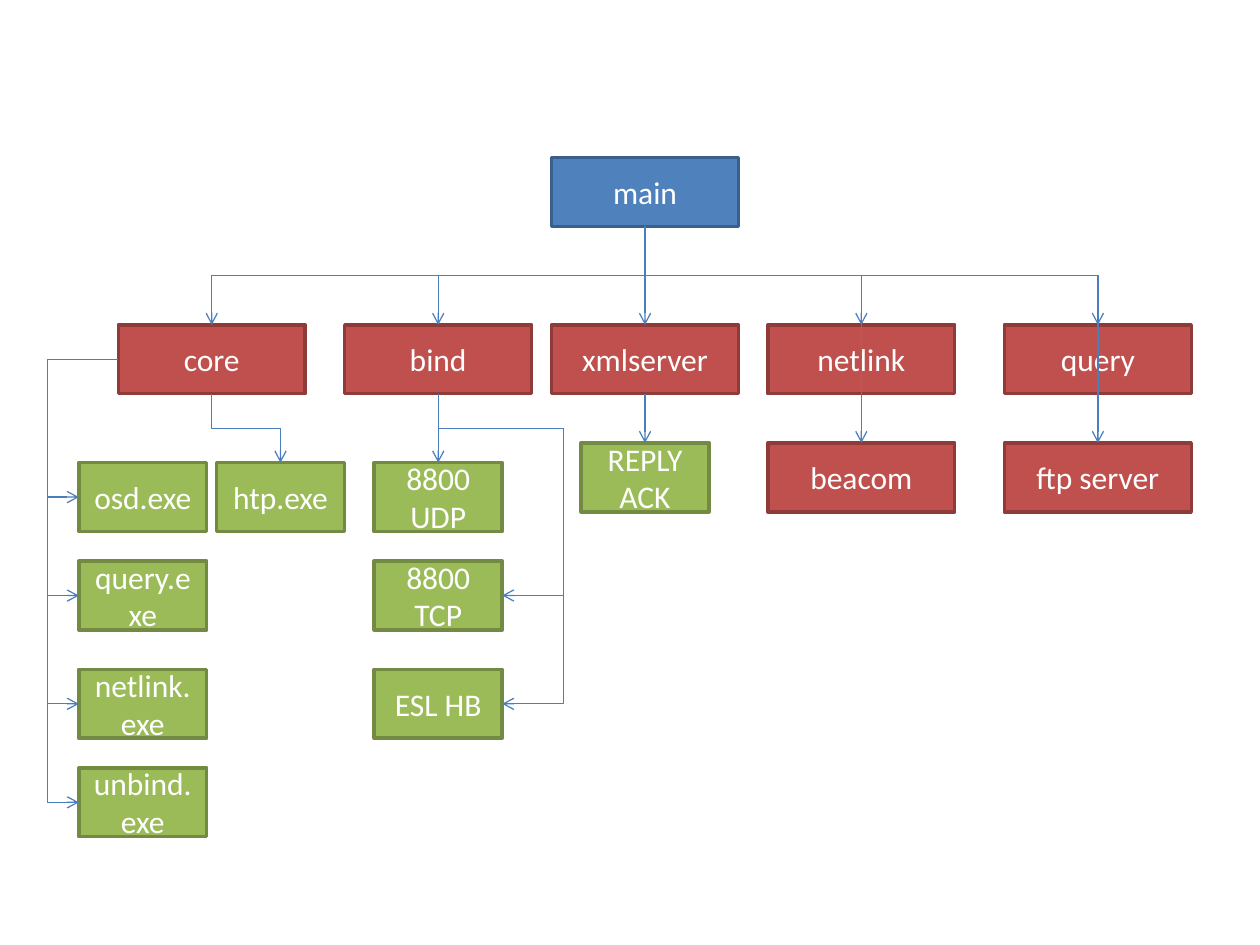
from lxml import etree
from pptx import Presentation
from pptx.dml.color import RGBColor
from pptx.enum import shapes, text
from pptx.oxml.ns import qn
from pptx.util import Pt

# Content: name -> (label, style, centre x, top)
BOXES = {
    "main": ("main", "root", 368.6, 90),
    "core": ("core", "module", 121, 185.65),
    "bind": ("bind", "module", 250.4, 185.65),
    "xmlserver": ("xmlserver", "module", 368.6, 185.65),
    "netlink": ("netlink", "module", 492.2, 185.65),
    "query": ("query", "module", 627.4, 185.65),
    "beacom": ("beacom", "module", 492.2, 253.1),
    "ftp": ("ftp server", "module", 627.4, 253.1),
    "reply": ("REPLY ACK", "task", 368.6, 253.1),
    "osd": ("osd.exe", "task", 81.6, 264.4),
    "htp": ("htp.exe", "task", 160.3, 264.4),
    "query.exe": ("query.exe", "task", 81.6, 320.6),
    "netlink.exe": ("netlink.exe", "task", 81.6, 382.5),
    "unbind": ("unbind.exe", "task", 81.6, 438.75),
    "udp": ("8800 UDP", "task", 250.4, 264.4),
    "tcp": ("8800 TCP", "task", 250.4, 320.6),
    "esl": ("ESL HB", "task", 250.4, 382.5),
}
# Style -> fill, line, width
STYLES = {
    "root": ("4F81BD", "3A5F8C", 106.8),
    "module": ("C0504D", "8E3B39", 106.8),
    "task": ("9BBB59", "738A42", 73.1),
}
BOX_H = 39.4
# Parent, children, start side, end side, distance to first bend
LINKS = [
    ("main", ["core", "bind", "xmlserver", "netlink", "query", "beacom", "ftp"],
     "bottom", "top", 28.1),
    ("core", ["htp"], "bottom", "top", 19.7),
    ("bind", ["udp"], "bottom", "top", 19.7),
    ("bind", ["tcp", "esl"], "bottom", "right", 19.7),
    ("xmlserver", ["reply"], "bottom", "top", 14),
    ("core", ["osd", "query.exe", "netlink.exe", "unbind"], "left", "left", 40.5),
]
SITES = {"top": 0, "left": 1, "bottom": 2, "right": 3}
RIGHT_RAIL = 35  # gap from a box to the rail on its right
LINK_COLOR = "4B7EBC"


def rgb(value):
    return RGBColor.from_string(value)


def anchor(name, side):
    _, style, x, top = BOXES[name]
    half = STYLES[style][2] / 2
    dx, dy = {"top": (0, 0), "bottom": (0, BOX_H),
              "left": (-half, BOX_H / 2), "right": (half, BOX_H / 2)}[side]
    return x + dx, top + dy


def add_box(slide, label, style, x, top):
    fill, line, width = STYLES[style]
    sp = slide.shapes.add_shape(shapes.MSO_SHAPE.RECTANGLE, Pt(x - width / 2),
                                Pt(top), Pt(width), Pt(BOX_H))
    sp.shadow.inherit = False
    sp.fill.solid()
    sp.fill.fore_color.rgb = rgb(fill)
    sp.line.color.rgb = rgb(line)
    sp.line.width = Pt(2)
    tf = sp.text_frame
    tf.text = label
    tf.vertical_anchor = text.MSO_ANCHOR.MIDDLE
    p = tf.paragraphs[0]
    p.alignment = text.PP_ALIGN.CENTER
    font = p.runs[0].font
    font.name, font.size, font.color.rgb = "Calibri", Pt(18), rgb("FFFFFF")
    return sp


def add_link(slide, boxes, parent, child, start, end, bend):
    (x1, y1), (x2, y2) = anchor(parent, start), anchor(child, end)
    dx, dy = x2 - x1, y2 - y1
    cxn = slide.shapes.add_connector(shapes.MSO_CONNECTOR.ELBOW,
                                     Pt(x1), Pt(y1), Pt(x2), Pt(y2))
    cxn.begin_connect(boxes[parent], SITES[start])
    cxn.end_connect(boxes[child], SITES[end])
    cxn.line.color.rgb = rgb(LINK_COLOR)
    cxn.line.width = Pt(0.75)

    # Turn the elbow so that it leaves the parent on the start side
    if start == "left":
        run, rise, turn, flip_h, flip_v = abs(dx), dy, 180, 0, 1
    else:
        run, rise = dy, abs(dx)
        turn, flip_h, flip_v = (270, 1, 0) if dx > 0 else (90, 0, 0)
    cxn.left, cxn.top = Pt((x1 + x2 - run) / 2), Pt((y1 + y2 - rise) / 2)
    cxn.width, cxn.height = Pt(run), Pt(rise)
    sp_pr = cxn._element.spPr
    xfrm = sp_pr.find(qn("a:xfrm"))
    for key, value in (("rot", turn * 60000), ("flipH", flip_h), ("flipV", flip_v)):
        xfrm.set(key, str(value))

    # Bend positions
    bends = [bend / run]
    if end == "right":
        bends.append(1 + RIGHT_RAIL / rise)
    geom = sp_pr.find(qn("a:prstGeom"))
    geom.set("prst", f"bentConnector{len(bends) + 2}")
    guides = geom.find(qn("a:avLst"))
    if guides is None:
        guides = etree.SubElement(geom, qn("a:avLst"))
    for i, value in enumerate(bends, 1):
        etree.SubElement(guides, qn("a:gd"), name=f"adj{i}",
                         fmla=f"val {round(value * 100000)}")

    # Arrowhead, no shadow
    etree.SubElement(sp_pr.find(qn("a:ln")), qn("a:tailEnd"), type="arrow")
    etree.SubElement(sp_pr, qn("a:effectLst"))


prs = Presentation()
prs.slide_width, prs.slide_height = Pt(720), Pt(540)
slide = prs.slides.add_slide(prs.slide_layouts[6])
boxes = {name: add_box(slide, *box) for name, box in BOXES.items()}
for parent, children, start, end, bend in LINKS:
    for child in children:
        add_link(slide, boxes, parent, child, start, end, bend)
prs.save("out.pptx")
